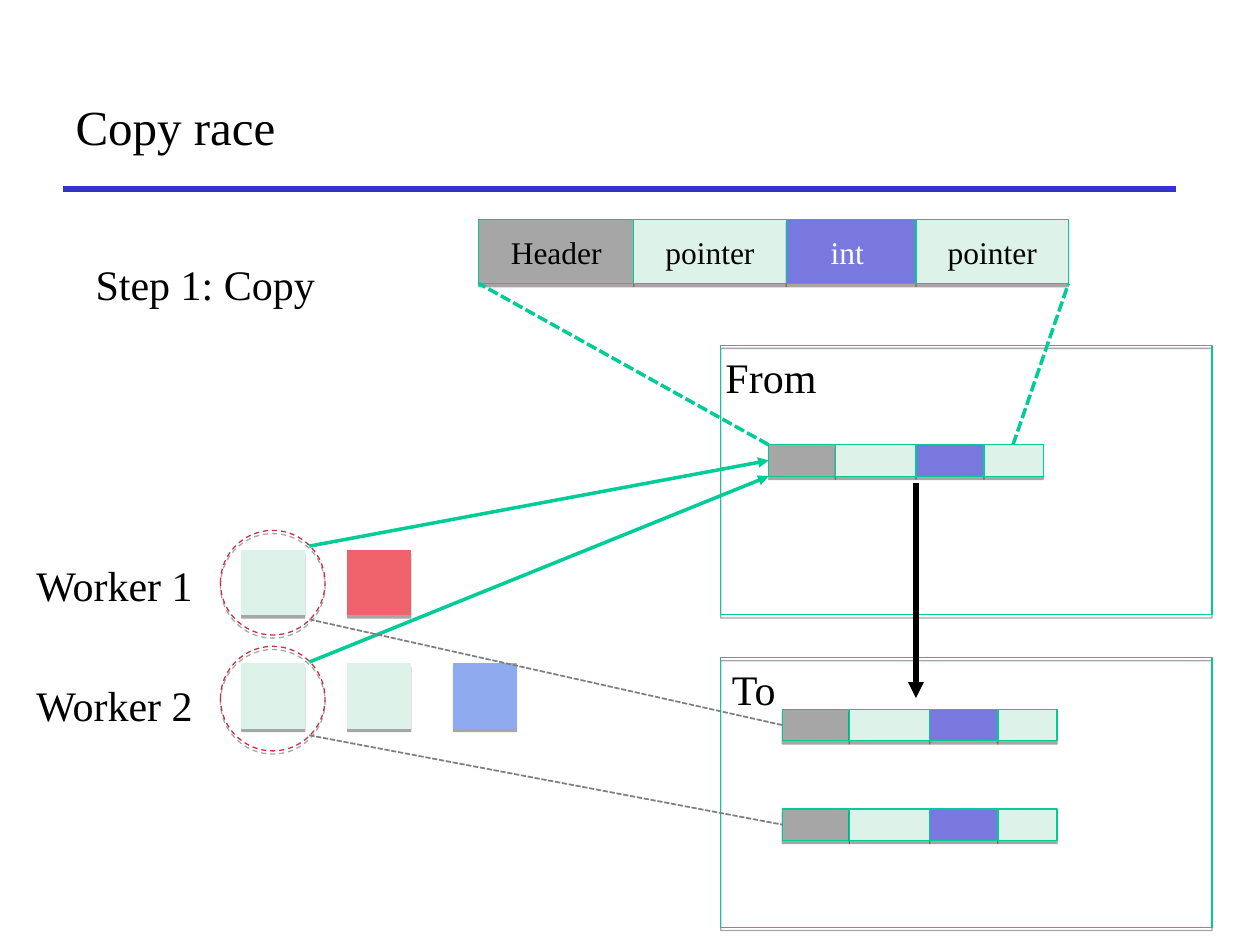
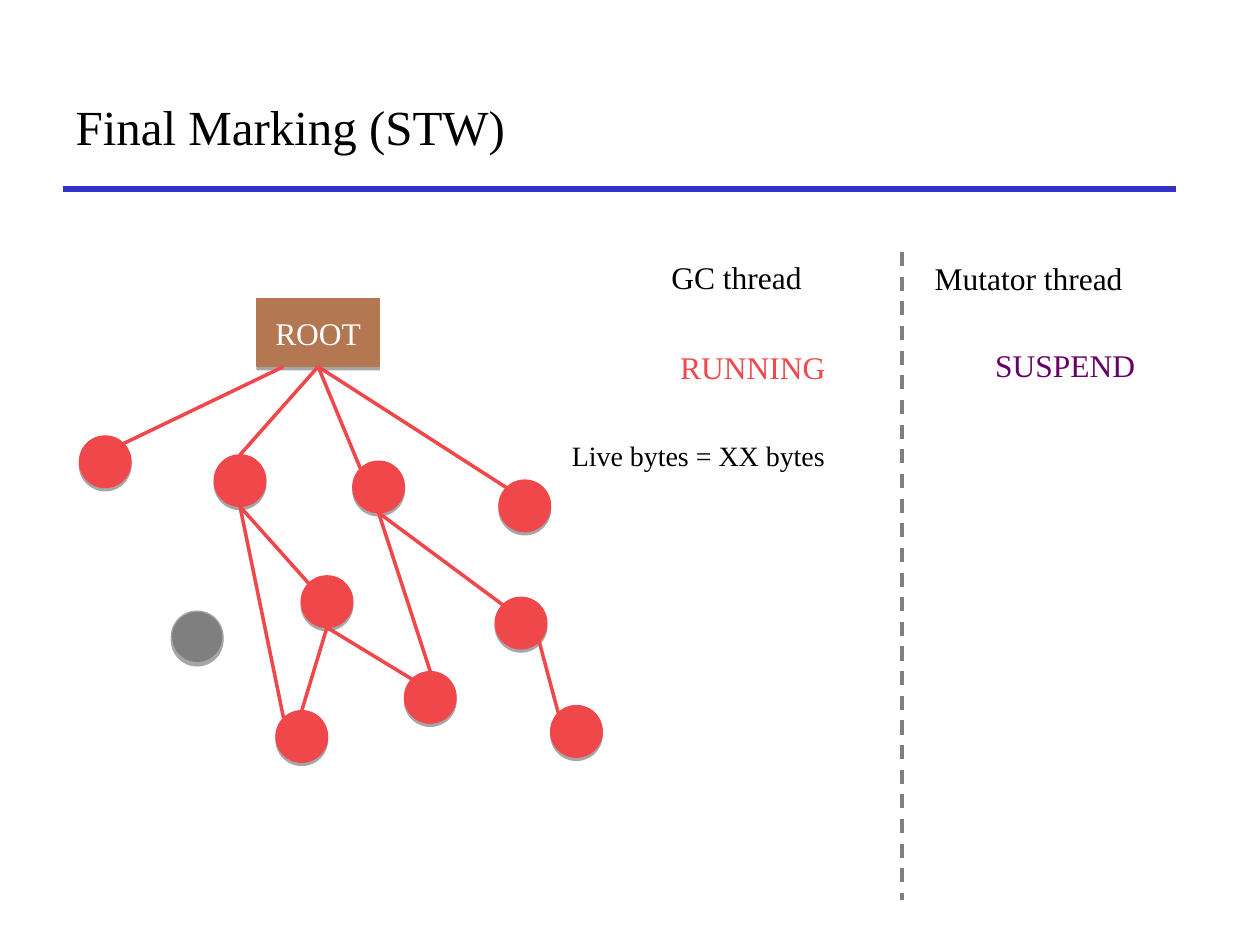
from lxml import etree
from pptx import Presentation
from pptx.dml.color import RGBColor
from pptx.enum.dml import MSO_LINE_DASH_STYLE as Dash
from pptx.enum.shapes import MSO_CONNECTOR, MSO_SHAPE as Shape
from pptx.enum.text import MSO_ANCHOR, MSO_AUTO_SIZE, PP_ALIGN
from pptx.oxml.ns import qn
from pptx.util import Inches, Pt

FONT = "Times New Roman"
BLACK, WHITE, GRAY, SILVER = "000000", "FFFFFF", "7F7F7F", "A6A6A6"
RULE_BLUE, GREEN, MINT, VIOLET = "3333CC", "00CC98", "DDF3EA", "7878DE"
PINK, SKY, CRIMSON = "F0626B", "90AAF0", "CD3042"
RED, BROWN, PURPLE = "F0474B", "B37851", "660066"

FIELD_COLOURS = [SILVER, MINT, VIOLET, MINT]
SMALL_WIDTHS = [0.53, 0.64, 0.54, 0.47]
SMALL_HEIGHT = 0.25
SQUARE_WIDTH, SQUARE_HEIGHT, RING = 0.5, 0.51, 0.83
NODE = 0.41
DIAGONAL = 0.35  # share of a circle's diameter from its centre to a corner site
SITES = {"top": (0, -0.5), "bottom": (0, 0.5),
         "top left": (-DIAGONAL, -DIAGONAL), "top right": (DIAGONAL, -DIAGONAL),
         "bottom right": (DIAGONAL, DIAGONAL)}


def rgb(colour):
    return RGBColor.from_string(colour)


def site(left, top, diameter, name):
    """Point on the rim of a circle, in inches."""
    across, down = SITES[name]
    return left + diameter * (0.5 + across), top + diameter * (0.5 + down)


class SlideBuilder:
    def __init__(self):
        self.deck = Presentation()
        self.deck.slide_width, self.deck.slide_height = Inches(10), Inches(7.5)
        self.page = None

    def new_page(self, title):
        self.page = self.deck.slides.add_slide(self.deck.slide_layouts[5])
        self.line((0.5, 1.5), (9.33, 1.5), RULE_BLUE, 3)
        box = self.page.shapes.title
        box.left, box.top, box.width, box.height = map(Inches, (0.5, 0.5, 8.83, 1))
        box.text_frame.vertical_anchor = MSO_ANCHOR.MIDDLE
        self.set_text(box, title, 28, BLACK, PP_ALIGN.LEFT)

    def set_text(self, box, words, size, colour, align):
        para = box.text_frame.paragraphs[0]
        para.text = words
        para.alignment = align
        para.font.name, para.font.size = FONT, Pt(size)
        para.font.bold = False
        para.font.color.rgb = rgb(colour)

    def text(self, left, top, width, height, words, size=24, colour=BLACK):
        box = self.page.shapes.add_textbox(*map(Inches, (left, top, width, height)))
        box.text_frame.word_wrap = False
        box.text_frame.auto_size = MSO_AUTO_SIZE.SHAPE_TO_FIT_TEXT
        self.set_text(box, words, size, colour, PP_ALIGN.LEFT)

    def shape(self, kind, left, top, width, height, fill=None, outline=None,
              dash=None, words=None, ink=BLACK):
        box = self.page.shapes.add_shape(kind, *map(Inches, (left, top, width, height)))
        if fill:
            box.fill.solid()
            box.fill.fore_color.rgb = rgb(fill)
        else:
            box.fill.background()
        box.line.color.rgb = rgb(outline or fill)
        box.line.width = Pt(0.75)
        if dash:
            box.line.dash_style = dash
        self.drop_shadow(box)
        if words:
            box.text_frame.vertical_anchor = MSO_ANCHOR.MIDDLE
            self.set_text(box, words, 18, ink, PP_ALIGN.CENTER)
        return box

    def drop_shadow(self, box):
        """Hard, 35 % black shadow just below the shape."""
        box.shadow.inherit = False
        effects = box._element.spPr.find(qn("a:effectLst"))
        shadow = etree.SubElement(effects, qn("a:outerShdw"), blurRad="0",
                                  dist=str(Pt(1.8)), dir="5400000", rotWithShape="0")
        tint = etree.SubElement(shadow, qn("a:srgbClr"), val=BLACK)
        etree.SubElement(tint, qn("a:alpha"), val="35000")

    def line(self, start, end, colour, width, dash=None, arrow=False):
        link = self.page.shapes.add_connector(
            MSO_CONNECTOR.STRAIGHT, *map(Inches, (*start, *end)))
        link.line.color.rgb = rgb(colour)
        link.line.width = Pt(width)
        if dash:
            link.line.dash_style = dash
        if arrow:
            outline = link._element.spPr.find(qn("a:ln"))
            etree.SubElement(outline, qn("a:tailEnd"), type="triangle")
        etree.SubElement(link._element.spPr, qn("a:effectLst"))
        return link

    def object_row(self, left, top, widths=SMALL_WIDTHS, height=SMALL_HEIGHT,
                   labels=(None,) * 4):
        """Heap object as adjoining fields; returns the header field."""
        fields = []
        for width, fill, label in zip(widths, FIELD_COLOURS, labels):
            ink = WHITE if fill == VIOLET else BLACK
            fields.append(self.shape(Shape.RECTANGLE, left, top, width, height,
                                     fill, GREEN, words=label, ink=ink))
            left += width
        return fields[0]


def copy_race(slides):
    slides.new_page("Copy race")
    slides.text(0.66, 2, 2.12, 0.5, "Step 1: Copy")

    queues = [("Worker 1", 4.39, 4.37, 4.21, [MINT, PINK]),
              ("Worker 2", 5.34, 5.27, 5.13, [MINT, MINT, SKY])]
    ring_left = 1.75
    for name, name_top, square_top, ring_top, colours in queues:
        slides.text(0.19, name_top, 1.7, 0.5, name)
        for column, colour in enumerate(colours):
            slides.shape(Shape.RECTANGLE, 1.92 + 0.84 * column, square_top,
                         SQUARE_WIDTH, SQUARE_HEIGHT, colour)
        slides.shape(Shape.OVAL, ring_left, ring_top, RING, RING,
                     outline=CRIMSON, dash=Dash.DASH)

    for name, top, left, width in [("From", 2.74, 5.66, 1.06), ("To", 5.22, 5.71, 0.59)]:
        slides.shape(Shape.RECTANGLE, 5.72, top, 3.9, 2.14, outline=GREEN)
        slides.text(left, top, width, 0.5, name)

    slides.object_row(3.8, 1.74, [1.23, 1.21, 1.03, 1.21], 0.51,
                      ["Header", "pointer", "int ", "pointer"])
    source = slides.object_row(6.1, 3.53)
    copies = [slides.object_row(6.21, top) for top in (5.63, 6.42)]

    for start, end in [((6.1, 3.53), (3.8, 2.25)), ((8.04, 3.53), (8.48, 2.25))]:
        slides.line(start, end, GREEN, 2, Dash.SQUARE_DOT)
    slides.line((7.27, 3.83), (7.27, 5.54), BLACK, 3, arrow=True)

    ring_tops = [queue[3] for queue in queues]
    starts = [site(ring_left, top, RING, "top right") for top in ring_tops]
    slides.line(starts[0], (6.1, 3.66), GREEN, 2, arrow=True).end_connect(source, 1)
    slides.line(starts[1], (6.1, 3.78), GREEN, 2, arrow=True)
    for ring_top, copied, end_top in zip(ring_tops, copies, (5.75, 6.55)):
        start = site(ring_left, ring_top, RING, "bottom right")
        link = slides.line(start, (6.21, end_top), GRAY, 1, Dash.SQUARE_DOT)
        link.end_connect(copied, 1)


def final_marking(slides):
    slides.new_page("Final Marking (STW)")
    root = slides.shape(Shape.RECTANGLE, 2.04, 2.37, 0.97, 0.54, BROWN,
                        words="ROOT", ink=WHITE)
    live = {"A": (0.63, 3.46), "B": (1.7, 3.61), "C": (2.8, 3.66), "D": (3.96, 3.81),
            "E": (2.39, 4.57), "F": (3.93, 4.74), "G": (2.19, 5.64), "H": (3.21, 5.33),
            "I": (4.37, 5.6)}
    for left, top in live.values():
        slides.shape(Shape.OVAL, left, top, NODE, NODE, RED)
    slides.shape(Shape.OVAL, 1.36, 4.85, NODE, NODE, GRAY, SILVER)

    for child, end in [("B", "top"), ("C", "top left"), ("D", "top left")]:
        link = slides.line((2.52, 2.91), site(*live[child], NODE, end), RED, 2)
        link.begin_connect(root, 2)
    slides.line(site(*live["A"], NODE, "top right"), (2.25, 2.91), RED, 2)
    edges = [("B", "bottom", "E", "top left"), ("B", "bottom", "G", "top left"),
             ("E", "bottom", "G", "top"), ("E", "bottom", "H", "top left"),
             ("C", "bottom", "H", "top"), ("C", "bottom", "F", "top left"),
             ("F", "bottom right", "I", "top left")]
    for parent, start, child, end in edges:
        slides.line(site(*live[parent], NODE, start), site(*live[child], NODE, end), RED, 2)

    slides.line((7.16, 2), (7.16, 7.14), GRAY, 2, Dash.DASH)
    slides.text(5.23, 2, 1.39, 0.4, "GC thread", 18)
    slides.text(7.32, 2.01, 2.03, 0.4, "Mutator thread", 18)
    slides.text(5.3, 2.71, 1.38, 0.4, "RUNNING", 18, RED)
    slides.text(7.8, 2.7, 1.33, 0.4, "SUSPEND", 18, PURPLE)
    slides.text(4.44, 3.43, 2.42, 0.37, "Live bytes = XX bytes", 16)


def main():
    slides = SlideBuilder()
    copy_race(slides)
    final_marking(slides)
    slides.deck.save("out.pptx")


if __name__ == "__main__":
    main()
